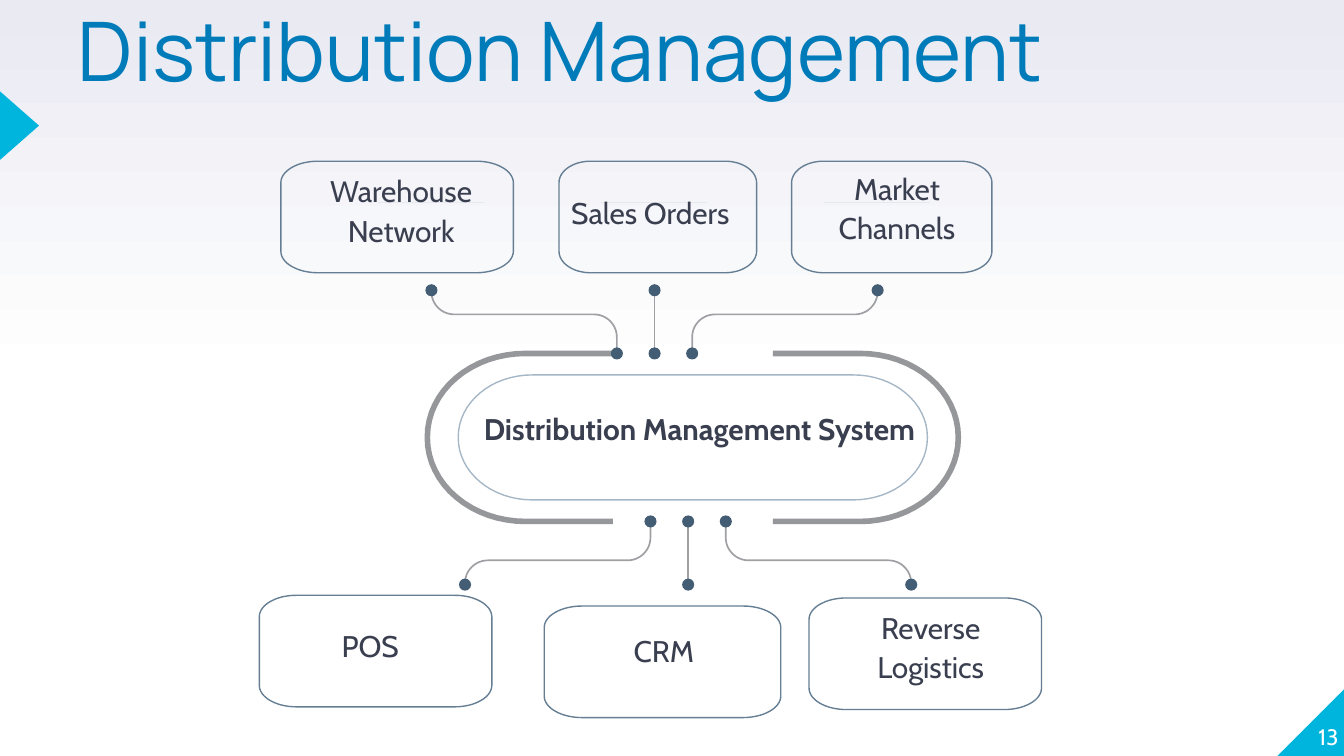
from copy import deepcopy
from math import cos, pi, sin

from lxml.etree import SubElement
from pptx import Presentation
from pptx.dml.color import RGBColor
from pptx.enum.shapes import MSO_CONNECTOR, MSO_SHAPE
from pptx.enum.text import MSO_ANCHOR, MSO_AUTO_SIZE, PP_ALIGN
from pptx.oxml.ns import qn
from pptx.util import Inches, Pt

THEME = {
    "title": ("Manrope", 44, "007BB9"),
    "label": ("Cabin", 16, "3A3F50"),
    "number": ("Cabin", 12, "FFFFFF"),
    "accent": "00B5DD",
    "background": ["FFFFFF", "FFFFFF", "E9EAF2"],
    "box": ("657E93", 0.75),
    "hub": ("A5B7C6", 0.75),
    "ring": ("96979B", 3),
    "link": ("9FA0A4", 0.9),
    "rule": ("E3E9ED", 0.6),
    "dot": "435D74",
}

SLIDE_WIDTH = 10
SLIDE_HEIGHT = SLIDE_WIDTH * 9 / 16
TITLE = "Distribution Management"
HUB = ("Distribution Management System", (3.6, 3.03, 3.22, 0.69))
BOX_HEIGHT = 0.83
BOXES = [
    ("Warehouse\vNetwork", (2.09, 1.2, 1.73), (2.41, 1.26, 1.15, 0.75), PP_ALIGN.CENTER),
    ("Sales Orders", (4.16, 1.2, 1.47), (4.25, 1.42, 1.38, 0.41), PP_ALIGN.LEFT),
    ("Market\vChannels", (5.89, 1.2, 1.49), (6.04, 1.24, 1.27, 0.61), PP_ALIGN.CENTER),
    ("POS", (1.93, 4.43, 1.73), (2.1, 4.64, 1.31, 0.41), PP_ALIGN.CENTER),
    ("CRM", (4.05, 4.51, 1.76), (4.15, 4.68, 1.58, 0.41), PP_ALIGN.CENTER),
    ("Reverse Logistics", (6.02, 4.45, 1.73), (6.27, 4.51, 1.31, 0.76), PP_ALIGN.CENTER),
]
LINK_ROWS = [
    {"center": 4.87, "outer": 2.16, "bend": 2.34, "inner": 2.63},
    {"center": 5.12, "outer": 4.35, "bend": 4.17, "inner": 3.88},
]
OUTER_STEP, INNER_STEP, DOT = 1.66, 0.28, 0.09
RULE_LEFTS, RULE_Y, RULE_WIDTH = [2.81, 4.47, 6.13], 1.51, 0.79
RING_TOP, RING_BOTTOM = 2.63, 3.88
RINGS = [(4.56, 3.18), (5.75, 7.13)]


def color(value):
    return RGBColor.from_string(value)


def style_line(shape, style):
    shape.line.color.rgb = color(style[0])
    shape.line.width = Pt(style[1])


def add_solid(slide, kind, box, fill):
    shape = slide.shapes.add_shape(kind, *map(Inches, box))
    shape.shadow.inherit = False
    shape.fill.solid()
    shape.fill.fore_color.rgb = color(fill)
    shape.line.fill.background()
    return shape


def round_corners(points, radius_x, radius_y, steps=16):
    path = [points[0]]
    for before, corner, after in zip(points, points[1:], points[2:]):
        def toward(target):
            return [((t > c) - (t < c)) * r
                    for t, c, r in zip(target, corner, (radius_x, radius_y))]
        entry, leave = toward(before), toward(after)
        for step in range(steps + 1):
            angle = pi / 2 * step / steps
            path.append(tuple(c + e * (1 - sin(angle)) + o * (1 - cos(angle))
                              for c, e, o in zip(corner, entry, leave)))
    return path + [points[-1]]


def add_outline(slide, points, radii, style, close=False):
    path = [(Inches(x), Inches(y)) for x, y in round_corners(points, *radii)]
    builder = slide.shapes.build_freeform(*path[0])
    builder.add_line_segments(path[1:], close=close)
    shape = builder.convert_to_shape()
    shape.shadow.inherit = False
    shape.fill.background()
    style_line(shape, style)


def add_rounded_box(slide, box, radii, style):
    left, top, width, height = box
    right, bottom, middle = left + width, top + height, left + width / 2
    corners = [(right, top), (right, bottom), (left, bottom), (left, top)]
    add_outline(slide, [(middle, top), *corners, (middle, top)], radii, style, close=True)


def add_line(slide, start, end, style):
    line = slide.shapes.add_connector(MSO_CONNECTOR.STRAIGHT, *map(Inches, start + end))
    style_line(line, style)
    SubElement(line._element.spPr, qn("a:effectLst"))


def write_text(shape, text, style, align=PP_ALIGN.LEFT, anchor=MSO_ANCHOR.TOP,
               spacing=1.0, before=0, bold=False):
    frame = shape.text_frame
    frame.word_wrap = True
    frame.auto_size = MSO_AUTO_SIZE.NONE
    frame.vertical_anchor = anchor
    frame.margin_left = frame.margin_right = frame.margin_top = frame.margin_bottom = 0
    frame.text = text
    paragraph = frame.paragraphs[0]
    paragraph.alignment = align
    paragraph.line_spacing = spacing
    paragraph.space_before = Pt(before)
    font = paragraph.font
    font.name, font.size, font.bold = style[0], Pt(style[1]), bold
    font.color.rgb = color(style[2])


def add_label(slide, text, box, align=PP_ALIGN.LEFT, bold=False):
    shape = slide.shapes.add_textbox(*map(Inches, box))
    write_text(shape, text, THEME["label"], align, spacing=1.1, before=6, bold=bold)


def paint_background(slide):
    fill = slide.background.fill
    fill.gradient()
    fill.gradient_angle = 90
    stop_list = next(slide._element.iter(qn("a:gsLst")))
    stop_list.append(deepcopy(stop_list[-1]))
    for index, (stop, value) in enumerate(zip(fill.gradient_stops, THEME["background"])):
        stop.position = index / 2
        stop.color.rgb = color(value)


def add_frame(slide):
    corner = add_solid(slide, MSO_SHAPE.RIGHT_TRIANGLE, (9.5, 5.12, 0.51, 0.51), THEME["accent"])
    corner._element.spPr.xfrm.set("flipH", "1")
    marker = add_solid(slide, MSO_SHAPE.ISOSCELES_TRIANGLE, (-0.11, 0.79, 0.51, 0.29),
                       THEME["accent"])
    marker.rotation = 90
    number = slide.shapes.add_textbox(*map(Inches, (9.46, 5.07, 0.5, 0.51)))
    write_text(number, "13", THEME["number"], PP_ALIGN.RIGHT, MSO_ANCHOR.BOTTOM)
    title = slide.shapes.title
    title.left, title.top, title.width, title.height = map(Inches, (0.58, 0.14, 8.52, 0.59))
    write_text(title, TITLE, THEME["title"], spacing=0.8)


def add_links(slide, center, outer, bend, inner):
    for side in (-1, 0, 1):
        start = (center + side * OUTER_STEP, outer)
        end = (center + side * INNER_STEP, inner)
        if side:
            points = [start, (start[0], bend), (end[0], bend), end]
            add_outline(slide, points, (0.17, 0.17), THEME["link"])
        else:
            add_line(slide, start, end, THEME["link"])
        for x, y in (start, end):
            add_solid(slide, MSO_SHAPE.OVAL, (x - DOT / 2, y - DOT / 2, DOT, DOT), THEME["dot"])


def main():
    presentation = Presentation()
    presentation.slide_width = Inches(SLIDE_WIDTH)
    presentation.slide_height = Inches(SLIDE_HEIGHT)
    slide = presentation.slides.add_slide(presentation.slide_layouts[5])
    paint_background(slide)
    add_frame(slide)
    add_rounded_box(slide, (3.41, 2.79, 3.49, 0.93), (0.55, 0.46), THEME["hub"])
    for inner, outer in RINGS:
        points = [(inner, RING_TOP), (outer, RING_TOP), (outer, RING_BOTTOM), (inner, RING_BOTTOM)]
        add_outline(slide, points, (0.73, 0.62), THEME["ring"])
    for row in LINK_ROWS:
        add_links(slide, **row)
    for left in RULE_LEFTS:
        add_line(slide, (left, RULE_Y), (left + RULE_WIDTH, RULE_Y), THEME["rule"])
    add_label(slide, *HUB, bold=True)
    for text, box, text_box, align in BOXES:
        add_rounded_box(slide, (*box, BOX_HEIGHT), (0.16 * box[2], 0.16), THEME["box"])
        add_label(slide, text, text_box, align)
    presentation.save("out.pptx")


if __name__ == "__main__":
    main()
